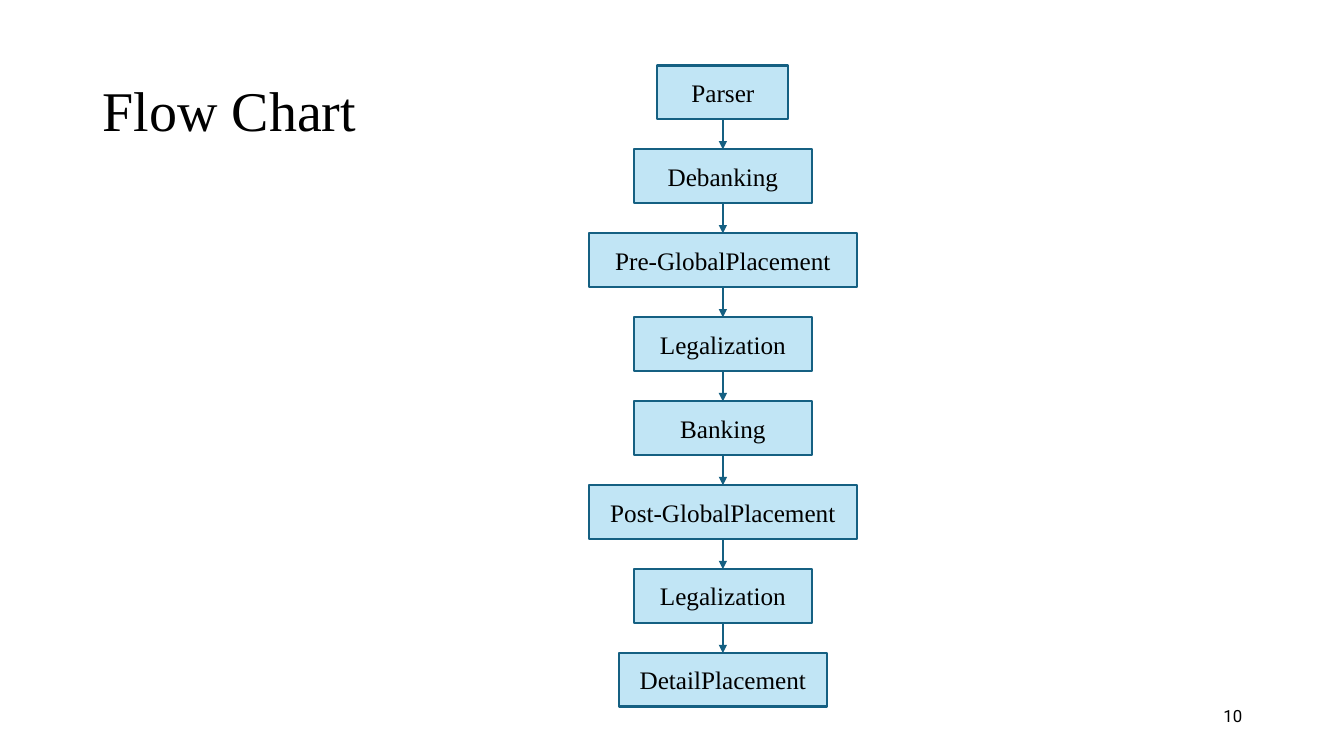
from itertools import pairwise

from lxml.etree import SubElement
from pptx import Presentation
from pptx.dml.color import RGBColor
from pptx.enum.shapes import MSO_CONNECTOR, MSO_SHAPE
from pptx.enum.text import MSO_ANCHOR, MSO_AUTO_SIZE, PP_ALIGN
from pptx.oxml.ns import qn
from pptx.util import Pt

PX = 9144  # EMU per px, 100 px to the inch
BLACK, PALE_BLUE, TEAL = "000000", "C1E5F5", "156082"
SERIF, SANS = "Times New Roman", "Roboto"
STEP_HEIGHT = 53
BOTTOM_SITE, TOP_SITE = 2, 0
STEPS = [
    ("Parser", 130),
    ("Debanking", 177),
    ("Pre-GlobalPlacement", 266),
    ("Legalization", 177),
    ("Banking", 177),
    ("Post-GlobalPlacement", 266),
    ("Legalization", 177),
    ("DetailPlacement", 206),
]


def color(hex_string):
    return RGBColor.from_string(hex_string)


def emu(*lengths):
    return [round(length * PX) for length in lengths]


def write(shape, text, size=18, font=SERIF, align=PP_ALIGN.CENTER, spacing=1.0, wrap=True):
    frame = shape.text_frame
    frame.word_wrap = wrap
    frame.auto_size = MSO_AUTO_SIZE.NONE
    frame.vertical_anchor = MSO_ANCHOR.MIDDLE
    para = frame.paragraphs[0]
    para.alignment = align
    para.line_spacing = spacing
    span = para.add_run()
    span.text = text
    span.font.size = Pt(size)
    span.font.name = font
    span.font.color.rgb = color(BLACK)


def outline(line):
    line.color.rgb = color(TEAL)
    line.width = Pt(1.5)


def add_title(page, box):
    title = page.shapes.title
    title.left, title.top, title.width, title.height = emu(*box)
    write(title, "Flow Chart", size=40, align=PP_ALIGN.LEFT, spacing=0.9)


def add_page_number(page, box):
    number = page.shapes.add_textbox(*emu(*box))
    write(number, "10", size=12, font=SANS, align=PP_ALIGN.RIGHT)


def add_step(page, text, box):
    step = page.shapes.add_shape(MSO_SHAPE.RECTANGLE, *emu(*box))
    step.shadow.inherit = False
    step.fill.solid()
    step.fill.fore_color.rgb = color(PALE_BLUE)
    outline(step.line)
    write(step, text, wrap=False)
    return step


def add_arrow(page, upper, lower):
    arrow = page.shapes.add_connector(MSO_CONNECTOR.STRAIGHT, 0, 0, 0, 0)
    arrow.begin_connect(upper, BOTTOM_SITE)
    arrow.end_connect(lower, TOP_SITE)
    outline(arrow.line)
    properties = arrow.element.spPr
    SubElement(properties.find(qn("a:ln")), qn("a:tailEnd"), type="triangle")
    SubElement(properties, qn("a:effectLst"))


def add_flow(page, box):
    """Spread the steps evenly down the box, centred, and join them with arrows."""
    left, top, width, height = box
    pitch = (height - STEP_HEIGHT) / (len(STEPS) - 1)
    steps = [
        add_step(page, text, (left + (width - step_width) / 2, top + index * pitch,
                              step_width, STEP_HEIGHT))
        for index, (text, step_width) in enumerate(STEPS)
    ]
    for upper, lower in pairwise(steps):
        add_arrow(page, upper, lower)


def main():
    deck = Presentation()
    deck.slide_width, deck.slide_height = emu(1333, 750)
    page = deck.slides.add_slide(deck.slide_layouts.get_by_name("Title Only"))
    add_title(page, (92, 40, 1150, 145))
    add_page_number(page, (942, 690, 300, 40))
    add_flow(page, (584, 65, 266, 636))
    deck.save("out.pptx")


if __name__ == "__main__":
    main()
